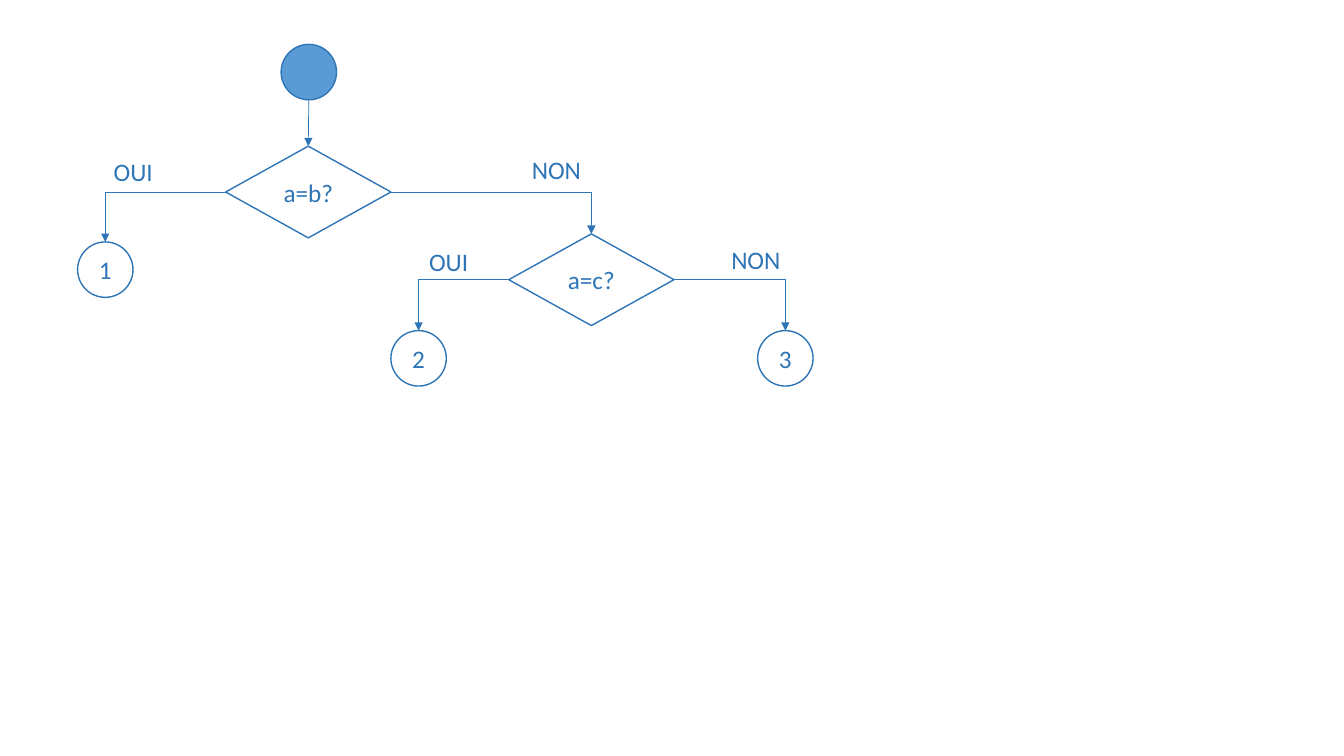
from pptx import Presentation
from pptx.dml.color import RGBColor
from pptx.enum.shapes import MSO_CONNECTOR as Link, MSO_SHAPE as Shape
from pptx.enum.text import MSO_ANCHOR as Anchor, PP_ALIGN as Align
from pptx.oxml.ns import qn
from pptx.util import Pt
from lxml.etree import SubElement

PX = 9144
COLORS = {"line": "2E75B6", "start": "5B9BD5"}
CIRCLE = 55
DIAMOND_WIDTH, DIAMOND_HEIGHT = 164, 91
TOP, LEFT, RIGHT = 0, 1, 3


def color(name):
    return RGBColor.from_string(COLORS[name])


def add_text(shape, text, align):
    para = shape.text_frame.paragraphs[0]
    para.alignment = align
    span = para.add_run()
    span.text = text
    span.font.name = "Calibri"
    span.font.size = Pt(18)
    span.font.color.rgb = color("line")


def add_node(page, kind, box, text="", fill=None):
    node = page.shapes.add_shape(kind, *(PX * side for side in box))
    node.shadow.inherit = False
    if fill:
        node.fill.solid()
        node.fill.fore_color.rgb = color(fill)
    else:
        node.fill.background()
    node.line.color.rgb = color("line")
    node.line.width = Pt(1)
    if text:
        node.text_frame.word_wrap = False
        node.text_frame.vertical_anchor = Anchor.MIDDLE
        add_text(node, text, Align.CENTER)
    return node


def add_circle(page, left, top, text="", fill=None):
    return add_node(page, Shape.OVAL, (left, top, CIRCLE, CIRCLE), text, fill)


def add_decision(page, left, top, text):
    box = (left, top, DIAMOND_WIDTH, DIAMOND_HEIGHT)
    return add_node(page, Shape.DIAMOND, box, text)


def add_arrow(page, kind, source, target, side=None):
    middle = source.left + source.width // 2
    arrow = page.shapes.add_connector(
        kind, middle, source.top + source.height, middle, target.top)
    if side is not None:
        arrow.begin_connect(source, side)
    arrow.end_connect(target, TOP)
    arrow.line.color.rgb = color("line")
    arrow.line.width = Pt(0.5)
    properties = arrow.element.spPr
    if kind == Link.ELBOW:
        properties.find(qn("a:prstGeom")).set("prst", "bentConnector2")
    SubElement(properties.find(qn("a:ln")), qn("a:tailEnd"), type="triangle")
    SubElement(properties, qn("a:effectLst"))


def add_label(page, left, top, width, text):
    label = page.shapes.add_textbox(left * PX, top * PX, width * PX, 40 * PX)
    label.text_frame.word_wrap = False
    add_text(label, text, Align.LEFT)


def add_branches(page, decision, yes, no, yes_label, no_label):
    add_arrow(page, Link.ELBOW, decision, yes, LEFT)
    add_arrow(page, Link.ELBOW, decision, no, RIGHT)
    add_label(page, *yes_label, 59, "OUI")
    add_label(page, *no_label, 69, "NON")


def add_flowchart(page, left, top):
    start = add_circle(page, left + 202, top, fill="start")
    equals_b = add_decision(page, left + 147, top + 101, "a=b?")
    equals_c = add_decision(page, left + 428, top + 188, "a=c?")
    one = add_circle(page, left, top + 196, "1")
    two = add_circle(page, left + 311, top + 284, "2")
    three = add_circle(page, left + 675, top + 284, "3")
    add_arrow(page, Link.STRAIGHT, start, equals_b)
    add_branches(page, equals_b, one, equals_c,
                 (left + 26, top + 106), (left + 441, top + 104))
    add_branches(page, equals_c, two, three,
                 (left + 339, top + 195), (left + 639, top + 193))


def main():
    deck = Presentation()
    deck.slide_width, deck.slide_height = 1334 * PX, 750 * PX
    page = deck.slides.add_slide(deck.slide_layouts[6])
    add_flowchart(page, 77, 44)
    deck.save("out.pptx")


if __name__ == "__main__":
    main()
